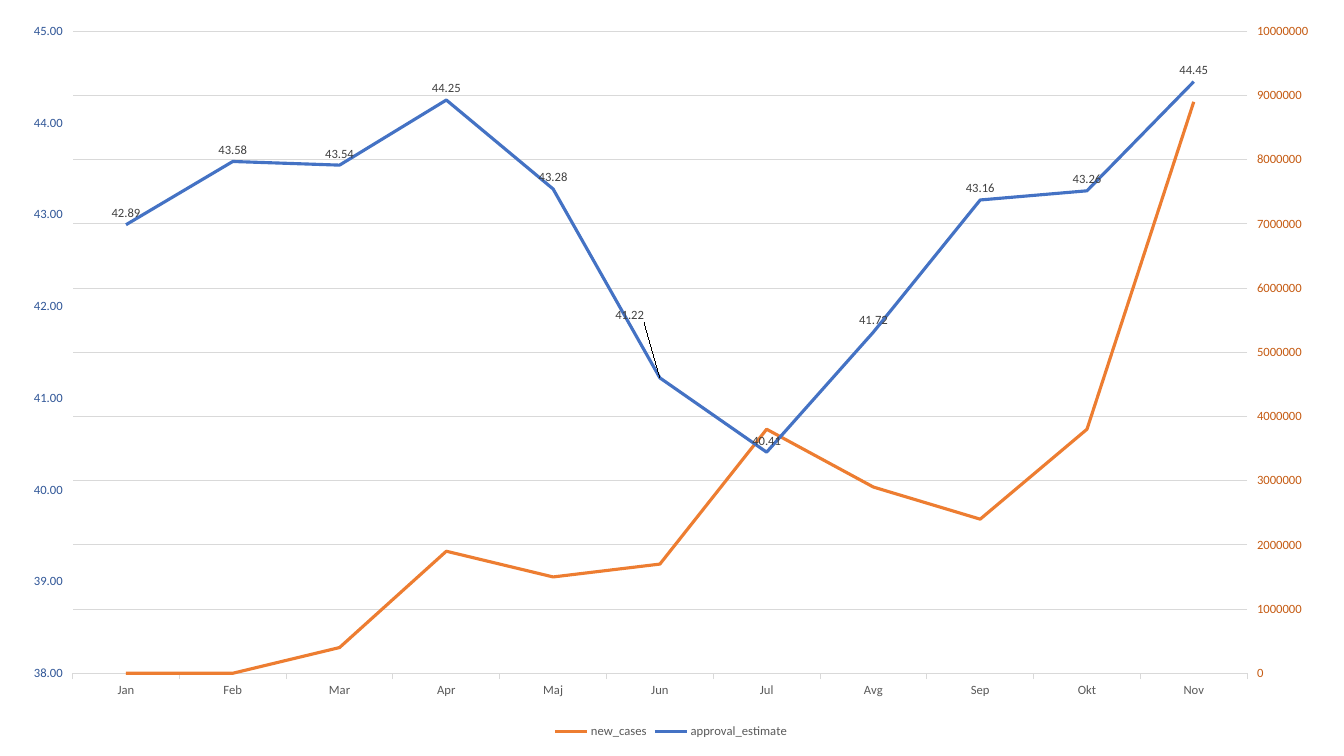
from copy import deepcopy
from lxml.etree import SubElement
from pptx import Presentation
from pptx.chart.axis import ValueAxis
from pptx.chart.data import CategoryChartData
from pptx.dml.color import RGBColor
from pptx.enum.chart import (XL_CHART_TYPE, XL_LABEL_POSITION, XL_LEGEND_POSITION,
                             XL_TICK_LABEL_POSITION, XL_TICK_MARK)
from pptx.oxml import parse_xml
from pptx.oxml.ns import nsdecls, qn
from pptx.util import Inches, Pt

COLORS = {"cases": "ED7D31", "approval": "4472C4", "cases_axis": "C55A11",
          "approval_axis": "2F5597", "grid": "D9D9D9", "text": "595959", "label": "404040"}
MONTHS = ["Jan", "Feb", "Mar", "Apr", "Maj", "Jun", "Jul", "Avg", "Sep", "Okt", "Nov"]
NEW_CASES = [0, 0, 400000, 1900000, 1500000, 1700000, 3800000, 2900000, 2400000,
             3800000, 8900000]
APPROVAL = [42.89, 43.58, 43.54, 44.25, 43.28, 41.22, 40.41, 41.72, 43.16, 43.26, 44.45]
CHART_WIDTH, CHART_HEIGHT = 13.17, 7.28
NO_LEADERS = (f'<c:extLst {nsdecls("c")}><c:ext uri="{{CE6537A1-D6FC-4f65-9D91-7224C49458BB}}" '
              'xmlns:c15="http://schemas.microsoft.com/office/drawing/2012/chart">'
              '<c15:showLeaderLines val="0"/></c:ext></c:extLst>')


def format_text(text, color="text", size=9, name="Calibri"):
    text.font.name, text.font.size, text.font.bold = name, Pt(size), False
    text.font.color.rgb = RGBColor.from_string(COLORS[color])


def manual_layout(x, y, w=None, h=None):
    layout = parse_xml(f"<c:layout {nsdecls('c')}><c:manualLayout/></c:layout>")
    values = {"x": x / CHART_WIDTH, "y": y / CHART_HEIGHT}
    if w:
        values = {"layoutTarget": "inner", "xMode": "edge", "yMode": "edge", **values,
                  "w": w / CHART_WIDTH, "h": h / CHART_HEIGHT}
    for key, value in values.items():
        SubElement(layout[0], qn(f"c:{key}")).set("val", str(value))
    return layout


class ChartSlide:
    """Hold the slide and the shared style of its line chart."""

    def __init__(self, prs):
        self.s = prs.slides.add_slide(prs.slide_layouts[6])

    def line(self, line, color, width):
        line.color.rgb = RGBColor.from_string(COLORS[color])
        line.width = Pt(width)

    def chart(self, left, top, categories, series):
        data = CategoryChartData()
        data.categories = categories
        for name, values in series.items():
            data.add_series(name, values)
        frame = self.s.shapes.add_chart(XL_CHART_TYPE.LINE, Inches(left), Inches(top),
                                        Inches(CHART_WIDTH), Inches(CHART_HEIGHT), data)
        chart = frame.chart
        chart.has_title = False
        chart.font.name, chart.font.size = "Calibri", Pt(10)
        chart.has_legend = True
        chart.legend.position = XL_LEGEND_POSITION.BOTTOM
        chart.legend.include_in_layout = False
        format_text(chart.legend)
        return chart

    def category_axis(self, axis):
        axis.major_tick_mark = XL_TICK_MARK.OUTSIDE
        axis.tick_label_position = XL_TICK_LABEL_POSITION.LOW
        self.line(axis.format.line, "grid", 0.75)
        format_text(axis.tick_labels)

    def value_axis(self, axis, color, low, high, step, number_format, side, grid):
        axis.minimum_scale, axis.maximum_scale, axis.major_unit = low, high, step
        axis.major_tick_mark = XL_TICK_MARK.OUTSIDE
        axis.tick_label_position = side
        axis.format.line.fill.background()
        axis.tick_labels.number_format = number_format
        axis.tick_labels.number_format_is_linked = False
        format_text(axis.tick_labels, color)
        axis.has_major_gridlines = grid
        if grid:
            self.line(axis.major_gridlines.format.line, "grid", 0.75)

    def second_axis(self, chart):
        cases = chart._chartSpace.find(".//" + qn("c:lineChart"))
        approval = deepcopy(cases)
        cases.remove(cases.findall(qn("c:ser"))[1])
        approval.remove(approval.find(qn("c:ser")))
        cases.addnext(approval)
        cat_axis = cases.getparent().find(qn("c:catAx"))
        val_axis = cases.getparent().find(qn("c:valAx"))
        new_cat, new_val = deepcopy(cat_axis), deepcopy(val_axis)
        val_axis.addnext(new_val)
        new_val.addnext(new_cat)
        for axis, own, other in ((new_cat, "5001", "5002"), (new_val, "5002", "5001")):
            axis.find(qn("c:axId")).set("val", own)
            axis.find(qn("c:crossAx")).set("val", other)
        for ref, own in zip(approval.findall(qn("c:axId")), ("5001", "5002")):
            ref.set("val", own)
        new_cat.find(qn("c:delete")).set("val", "1")
        return ValueAxis(val_axis), ValueAxis(new_val)

    def plot_area(self, chart, x, y, w, h):
        area = chart._chartSpace.find(".//" + qn("c:plotArea"))
        for layout in area.findall(qn("c:layout")):
            area.remove(layout)
        area.insert(0, manual_layout(x, y, w, h))

    def series(self, series, color):
        series.smooth = False
        self.line(series.format.line, color, 2.25)

    def labels(self, series, moved, x, y):
        labels = series.data_labels
        labels.show_value = True
        labels.position = XL_LABEL_POSITION.ABOVE
        labels.number_format, labels.number_format_is_linked = "0.00", False
        format_text(labels, "label")
        label = series.points[moved].data_label
        label.position = XL_LABEL_POSITION.ABOVE
        format_text(label, "label")
        group = series._element.find(qn("c:dLbls"))
        group.find(f"{qn('c:dLbl')}/{qn('c:idx')}").addnext(manual_layout(x, y))
        group.append(parse_xml(NO_LEADERS))


prs = Presentation()
prs.slide_width, prs.slide_height = Inches(13.33), Inches(7.5)
slide = ChartSlide(prs)
chart = slide.chart(0.07, 0.09, MONTHS,
                    {"new_cases": NEW_CASES, "approval_estimate": APPROVAL})
slide.plot_area(chart, 0.65, 0.22, 11.65, 6.37)
cases_axis, approval_axis = slide.second_axis(chart)
slide.category_axis(chart.category_axis)
slide.value_axis(cases_axis, "cases_axis", 0, 10000000, 1000000, "0",
                 XL_TICK_LABEL_POSITION.HIGH, True)
slide.value_axis(approval_axis, "approval_axis", 38, 45, 1, "0.00",
                 XL_TICK_LABEL_POSITION.LOW, False)
cases, approval = (plot.series[0] for plot in chart.plots)
slide.series(cases, "cases")
slide.series(approval, "approval")
slide.labels(approval, MONTHS.index("Jun"), -0.3, -0.51)
prs.save("out.pptx")
